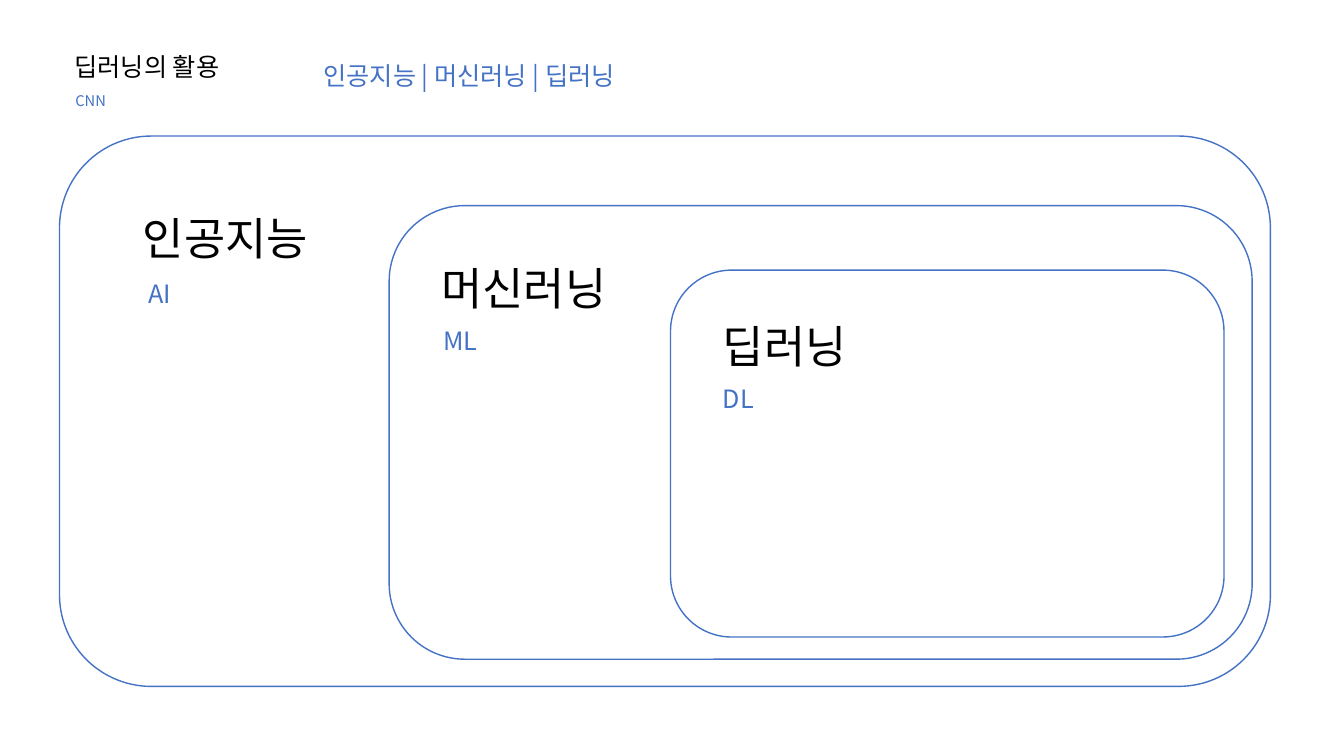
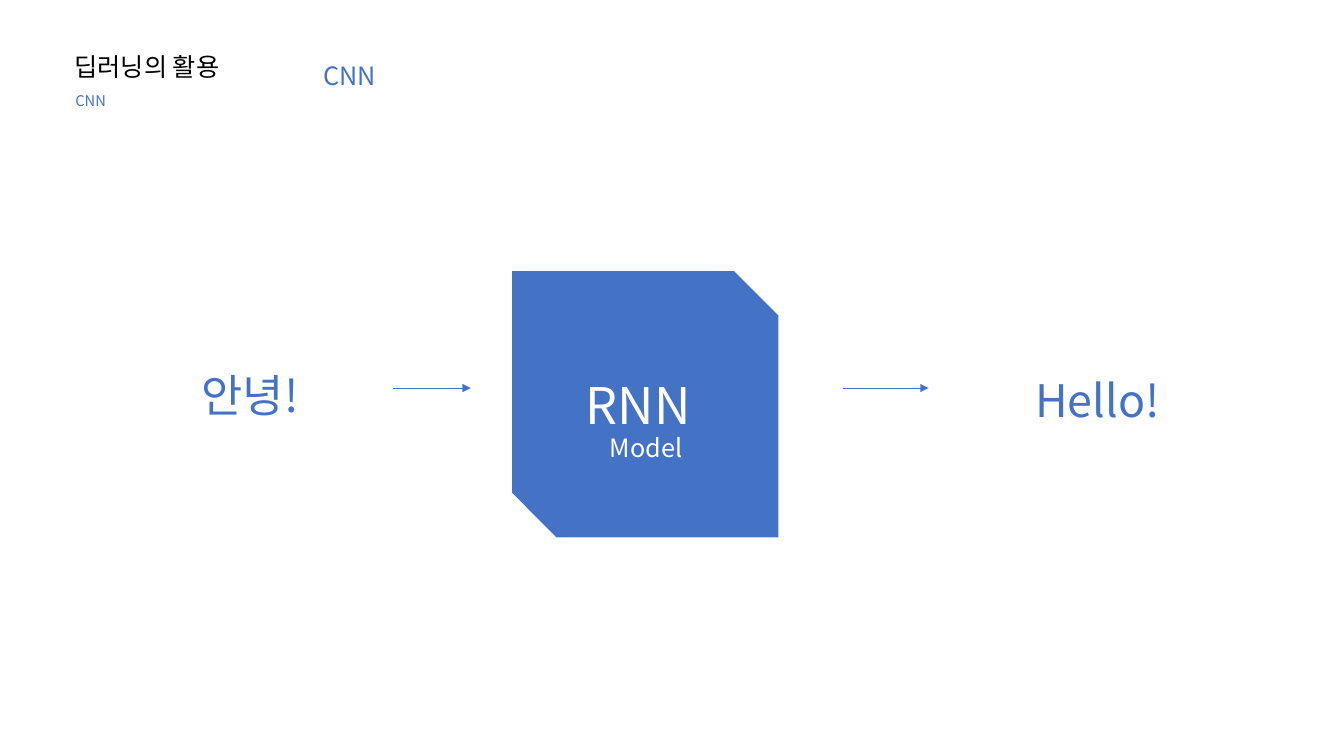
from dataclasses import dataclass
from typing import Optional

from lxml.etree import SubElement
from pptx import Presentation
from pptx.dml.color import RGBColor
from pptx.enum.shapes import MSO_CONNECTOR, MSO_SHAPE
from pptx.enum.text import MSO_AUTO_SIZE
from pptx.oxml.ns import qn
from pptx.slide import Slide
from pptx.util import Inches, Pt

FONT = "Noto Sans CJK KR"
COLORS = {"black": "000000", "blue": "4472C4", "white": "FFFFFF"}


@dataclass(frozen=True)
class Label:
    text: str
    left: float
    top: float
    width: float
    height: float
    size: float = 18
    color: str = "blue"
    wrap: bool = False


@dataclass(frozen=True)
class Box:
    preset: MSO_SHAPE
    left: float
    top: float
    width: float
    height: float
    fill: Optional[str] = None
    line: Optional[str] = None


@dataclass(frozen=True)
class Field:
    """A nested field: its outline, name and abbreviation."""
    box: Box
    name: Label
    abbreviation: Label


def rgb(color: str) -> RGBColor:
    return RGBColor.from_string(COLORS[color])


def add_label(slide: Slide, label: Label) -> None:
    shape = slide.shapes.add_textbox(Inches(label.left), Inches(label.top),
                                     Inches(label.width), Inches(label.height))
    frame = shape.text_frame
    frame.word_wrap = label.wrap
    frame.auto_size = MSO_AUTO_SIZE.SHAPE_TO_FIT_TEXT
    paragraph = frame.paragraphs[0]
    paragraph.text = label.text
    font = paragraph.font
    font.size = Pt(label.size)
    font.color.rgb = rgb(label.color)
    font.name = FONT
    # Korean text takes its typeface from the East Asian font
    properties = paragraph._p.get_or_add_pPr().find(qn("a:defRPr"))
    SubElement(properties, qn("a:ea"), typeface=FONT)


def add_box(slide: Slide, box: Box) -> None:
    shape = slide.shapes.add_shape(box.preset, Inches(box.left), Inches(box.top),
                                   Inches(box.width), Inches(box.height))
    shape.shadow.inherit = False
    if box.fill:
        shape.fill.solid()
        shape.fill.fore_color.rgb = rgb(box.fill)
    else:
        shape.fill.background()
    if box.line:
        shape.line.color.rgb = rgb(box.line)
        shape.line.width = Pt(1)
    else:
        shape.line.fill.background()


def add_arrow(slide: Slide, start: float, end: float, y: float) -> None:
    arrow = slide.shapes.add_connector(MSO_CONNECTOR.STRAIGHT, Inches(start), Inches(y),
                                       Inches(end), Inches(y))
    arrow.line.color.rgb = rgb("blue")
    arrow.line.width = Pt(0.5)
    SubElement(arrow.line._get_or_add_ln(), qn("a:tailEnd"), type="triangle")
    SubElement(arrow._element.spPr, qn("a:effectLst"))


def add_slide(presentation: Presentation, topic: str, topic_width: float) -> Slide:
    """Add a blank slide with the shared header."""
    slide = presentation.slides.add_slide(presentation.slide_layouts[6])
    for label in (
        Label("딥러닝의 활용", 0.64, 0.46, 4.88, 0.4, color="black", wrap=True),
        Label("CNN", 0.65, 0.86, 1.26, 0.28, size=10.5, wrap=True),
        Label(topic, 3.11, 0.55, topic_width, 0.4),
    ):
        add_label(slide, label)
    return slide


FIELDS = (
    Field(Box(MSO_SHAPE.ROUNDED_RECTANGLE, 0.59, 1.35, 12.01, 5.46, "white", "blue"),
          Label("인공지능", 1.32, 2.04, 1.96, 0.64, 32, "black"),
          Label("AI", 1.37, 2.71, 0.47, 0.4)),
    Field(Box(MSO_SHAPE.ROUNDED_RECTANGLE, 3.86, 2.04, 8.56, 4.5, line="blue"),
          Label("머신러닝", 4.28, 2.54, 1.96, 0.64, 32, "black"),
          Label("ML", 4.3, 3.18, 0.6, 0.4)),
    Field(Box(MSO_SHAPE.ROUNDED_RECTANGLE, 6.65, 2.68, 5.49, 3.64, line="blue"),
          Label("딥러닝", 7.07, 3.11, 1.52, 0.64, 32, "black"),
          Label("DL", 7.07, 3.75, 0.56, 0.4)),
)

MODEL_BOX = Box(MSO_SHAPE.SNIP_2_DIAG_RECTANGLE, 5.08, 2.69, 2.64, 2.64, fill="blue")
MODEL_LABELS = (
    Label("RNN", 5.71, 3.66, 1.36, 0.71, 36, "white"),
    Label("Model", 5.95, 4.24, 0.98, 0.4, color="white"),
    Label("안녕!", 1.9, 3.6, 1.26, 0.64, 32, wrap=True),
    Label("Hello!", 10.17, 3.65, 1.58, 0.64, 32, wrap=True),
)
ARROW_Y = 3.85
ARROW_SPANS = ((3.9, 4.67), (8.36, 9.21))


def build_fields_slide(presentation: Presentation) -> None:
    slide = add_slide(presentation, "인공지능 | 머신러닝 | 딥러닝", 3.39)
    for field in FIELDS:
        add_box(slide, field.box)
        add_label(slide, field.name)
        add_label(slide, field.abbreviation)


def build_model_slide(presentation: Presentation) -> None:
    slide = add_slide(presentation, "CNN", 0.8)
    add_box(slide, MODEL_BOX)
    for label in MODEL_LABELS:
        add_label(slide, label)
    for start, end in ARROW_SPANS:
        add_arrow(slide, start, end, ARROW_Y)


def main() -> None:
    presentation = Presentation()
    presentation.slide_width = Inches(13.33)
    presentation.slide_height = Inches(7.5)
    build_fields_slide(presentation)
    build_model_slide(presentation)
    presentation.save("out.pptx")


if __name__ == "__main__":
    main()
